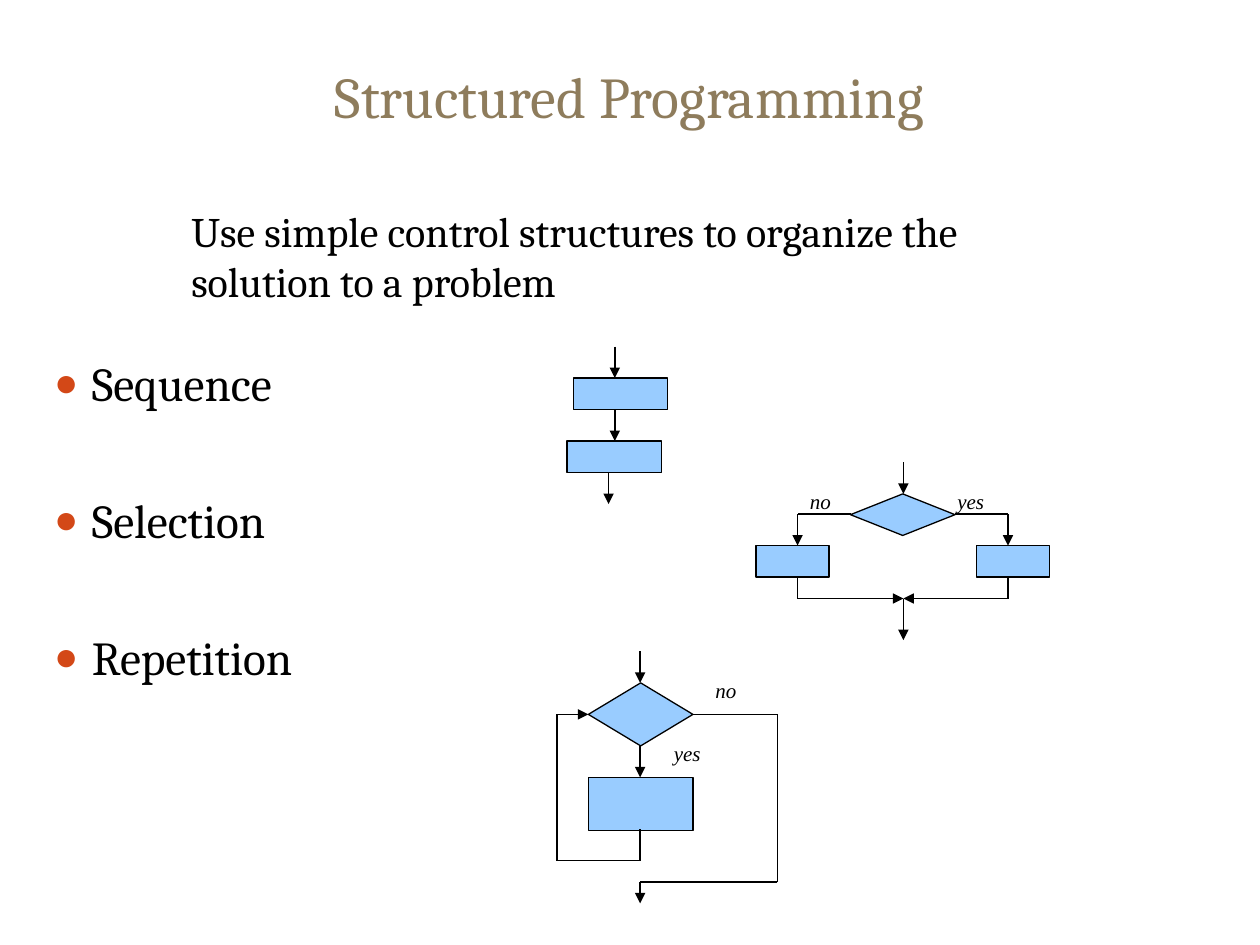
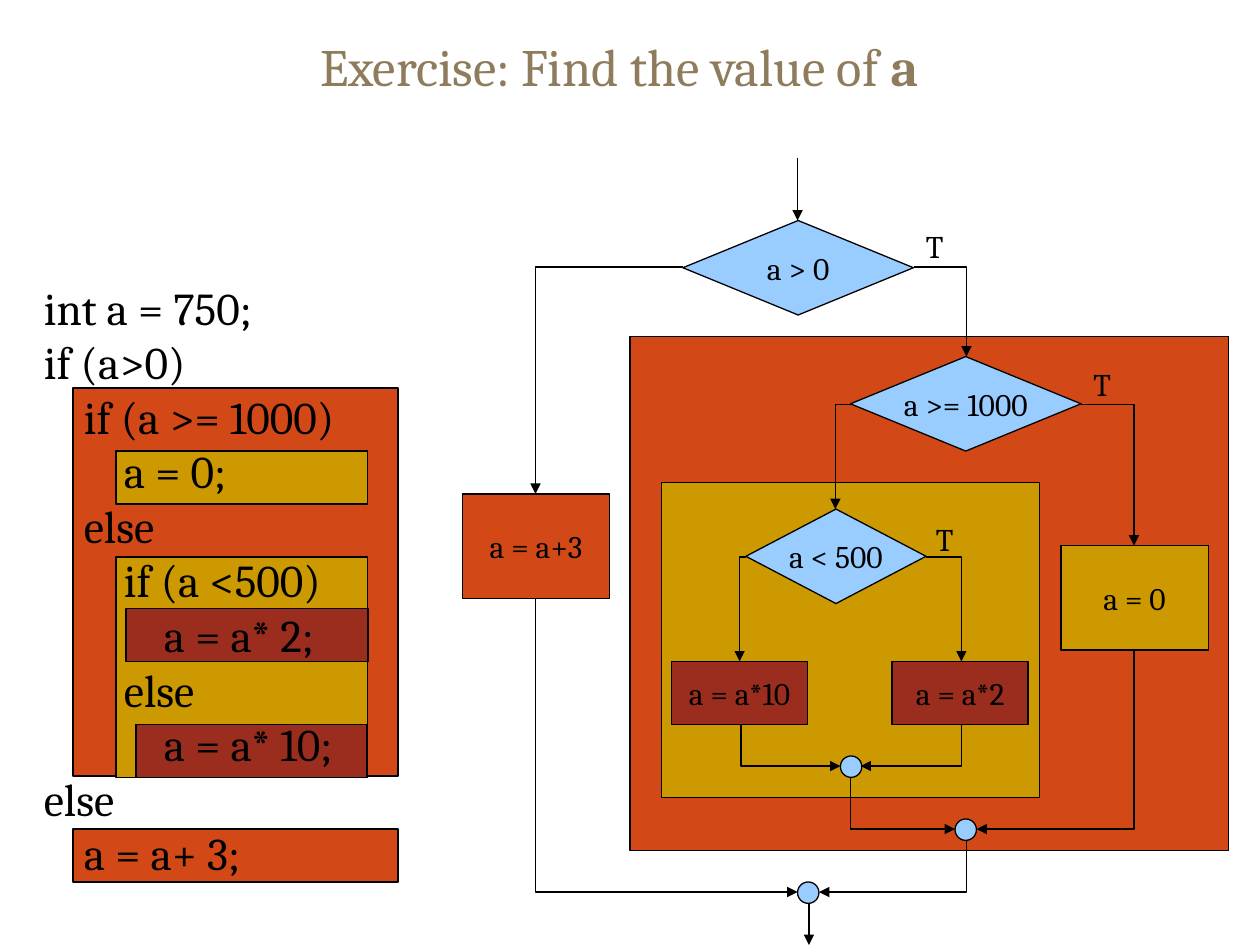
from itertools import pairwise

from lxml.etree import SubElement
from pptx import Presentation
from pptx.dml.color import RGBColor
from pptx.enum.shapes import MSO_CONNECTOR, MSO_SHAPE
from pptx.enum.text import MSO_ANCHOR, MSO_AUTO_SIZE, PP_ALIGN
from pptx.oxml.ns import qn
from pptx.util import Inches, Pt

BLACK = RGBColor(0x00, 0x00, 0x00)
TAUPE = RGBColor(0x8E, 0x7C, 0x5C)
BLUE = RGBColor(0x99, 0xCC, 0xFF)
ORANGE = RGBColor(0xD3, 0x48, 0x17)
GOLD = RGBColor(0xCC, 0x99, 0x00)
BRICK = RGBColor(0x9B, 0x2D, 0x1F)

SERIF = "Cambria"
LABEL_FONT = "Times New Roman"
LINE_WIDTH = Pt(0.75)
DECISION = MSO_SHAPE.FLOWCHART_DECISION
PROCESS = MSO_SHAPE.FLOWCHART_PROCESS
BLOCK = MSO_SHAPE.RECTANGLE
JOIN = MSO_SHAPE.OVAL
TITLE_AND_CONTENT, TITLE_ONLY = 1, 5


class FlowDeck:
    def __init__(self):
        self.prs = Presentation()
        self.prs.slide_width = Inches(10)
        self.prs.slide_height = Inches(7.5)

    def new_slide(self, layout):
        self.slide = self.prs.slides.add_slide(self.prs.slide_layouts[layout])
        self.canvas = self.slide.shapes

    def start_group(self):
        self.canvas = self.slide.shapes.add_group_shape().shapes

    def end_group(self):
        self.canvas = self.slide.shapes

    def place(self, shape, box):
        shape.left, shape.top, shape.width, shape.height = map(Inches, box)

    def run(self, paragraph, text, size, color=BLACK, font=SERIF, bold=False, italic=False):
        run = paragraph.add_run()
        run.text = text
        run.font.size = Pt(size)
        run.font.name = font
        run.font.color.rgb = color
        run.font.bold = bold
        run.font.italic = italic

    def title(self, box, size, text, bold_text=None):
        title = self.slide.shapes.title
        self.place(title, box)
        frame = title.text_frame
        frame.auto_size = MSO_AUTO_SIZE.NONE
        frame.vertical_anchor = MSO_ANCHOR.BOTTOM
        heading = frame.paragraphs[0]
        heading.alignment = PP_ALIGN.CENTER
        self.run(heading, text, size, TAUPE)
        if bold_text:
            self.run(heading, bold_text, size, TAUPE, bold=True)

    def bullets(self, box, items, margin_top, gap):
        body = self.slide.placeholders[1]
        self.place(body, box)
        frame = body.text_frame
        frame.auto_size = MSO_AUTO_SIZE.NONE
        frame.margin_top = Inches(margin_top)
        for index, item in enumerate(items):
            paragraph = frame.add_paragraph() if index else frame.paragraphs[0]
            properties = paragraph._p.get_or_add_pPr()
            properties.set("marL", str(Inches(0.3)))
            properties.set("indent", str(Inches(-0.3)))
            color = SubElement(properties, qn("a:buClr"))
            SubElement(color, qn("a:srgbClr")).set("val", str(ORANGE))
            SubElement(properties, qn("a:buSzPct")).set("val", "85000")
            SubElement(properties, qn("a:buChar")).set("char", "●")
            paragraph.space_before = Pt(gap if index else 0)
            self.run(paragraph, item, 27)

    def text(self, box, lines, size, **style):
        textbox = self.canvas.add_textbox(*map(Inches, box))
        frame = textbox.text_frame
        frame.word_wrap = True
        frame.auto_size = MSO_AUTO_SIZE.SHAPE_TO_FIT_TEXT
        for index, line in enumerate(lines):
            paragraph = frame.add_paragraph() if index else frame.paragraphs[0]
            self.run(paragraph, line, size, **style)

    def branch_label(self, left, top, text):
        self.text((left, top, 0.58, 0.3), [text], 12, font=LABEL_FONT, italic=True)

    def node(self, kind, box, fill=BLUE, text=None):
        node = self.canvas.add_shape(kind, *map(Inches, box))
        node.shadow.inherit = False
        node.fill.solid()
        node.fill.fore_color.rgb = fill
        node.line.color.rgb = BLACK
        node.line.width = LINE_WIDTH
        if text:
            frame = node.text_frame
            frame.word_wrap = False
            frame.vertical_anchor = MSO_ANCHOR.MIDDLE
            frame.paragraphs[0].alignment = PP_ALIGN.CENTER
            self.run(frame.paragraphs[0], text, 18)

    def connector(self, kind, start, end, arrow):
        connector = self.canvas.add_connector(kind, *map(Inches, (*start, *end)))
        connector.line.color.rgb = BLACK
        connector.line.width = LINE_WIDTH
        if arrow:
            SubElement(connector.line._get_or_add_ln(), qn("a:tailEnd")).set("type", "triangle")
        properties = connector._element.spPr
        SubElement(properties, qn("a:effectLst"))
        return properties

    def route(self, *points, arrow=True):
        segments = list(pairwise(points))
        for index, (start, end) in enumerate(segments, 1):
            self.connector(MSO_CONNECTOR.STRAIGHT, start, end, arrow and index == len(segments))

    def bend(self, start, end, down_first=False):
        (x1, y1), (x2, y2) = start, end
        width, height = abs(x2 - x1), abs(y2 - y1)
        rightward = x2 > x1
        if down_first:
            width, height = height, width
            degrees, flip = (270, "flipH") if rightward else (90, None)
        else:
            degrees, flip = (0, None) if rightward else (180, "flipV")
        left, top = (x1 + x2 - width) / 2, (y1 + y2 - height) / 2
        properties = self.connector(
            MSO_CONNECTOR.ELBOW, (left, top), (left + width, top + height), True)
        properties.find(qn("a:prstGeom")).set("prst", "bentConnector2")
        frame = properties.find(qn("a:xfrm"))
        if degrees:
            frame.set("rot", str(degrees * 60000))
        if flip:
            frame.set(flip, "1")


def draw_selection(deck):
    deck.start_group()
    deck.node(DECISION, (6.75, 3.92, 0.83, 0.33))
    deck.route((7.17, 3.67), (7.17, 3.92))
    for box_left, tip, branch in ((6, 6.75, 6.33), (7.75, 7.58, 8)):
        deck.node(PROCESS, (box_left, 4.33, 0.58, 0.25))
        deck.route((tip, 4.08), (branch, 4.08), (branch, 4.33))
        deck.route((branch, 4.58), (branch, 4.75), (7.17, 4.75))
    deck.route((7.17, 4.75), (7.17, 5.08))
    deck.branch_label(7.5, 3.83, "yes")
    deck.branch_label(6.33, 3.83, "no")
    deck.end_group()


def draw_repetition(deck):
    deck.start_group()
    deck.route((5.08, 5.17), (5.08, 5.42))
    deck.node(DECISION, (4.67, 5.42, 0.83, 0.5))
    deck.route((5.08, 5.92), (5.08, 6.17))
    deck.node(PROCESS, (4.67, 6.17, 0.83, 0.42))
    deck.route((5.08, 6.58), (5.08, 6.83), (4.42, 6.83), (4.42, 5.67), (4.67, 5.67))
    deck.route((5.5, 5.67), (6.17, 5.67), (6.17, 7), (5.08, 7), (5.08, 7.17))
    deck.branch_label(5.25, 5.83, "yes")
    deck.branch_label(5.58, 5.33, "no")
    deck.end_group()


def draw_sequence(deck):
    deck.start_group()
    deck.node(PROCESS, (4.55, 3, 0.75, 0.25))
    deck.node(PROCESS, (4.5, 3.5, 0.75, 0.25))
    for x, top in ((4.88, 2.75), (4.88, 3.25), (4.83, 3.75)):
        deck.route((x, top), (x, top + 0.25))
    deck.end_group()


def build_structures(deck):
    deck.new_slide(TITLE_AND_CONTENT)
    deck.title((0.33, 0.25, 9.33, 0.83), 33, "Structured Programming")
    deck.bullets((0.33, 1.67, 9.3, 5), ["Sequence", "Selection", "Repetition"],
                 margin_top=1.14, gap=46)
    draw_selection(deck)
    draw_repetition(deck)
    draw_sequence(deck)
    deck.text((1.42, 1.58, 7.33, 0.9),
              ["Use simple control structures to organize the solution to a problem"], 24)


def draw_code(deck):
    for box, fill in (
        ((0.58, 6.58, 2.58, 0.42), ORANGE),
        ((0.58, 3.08, 2.58, 3.08), ORANGE),
        ((0.92, 4.42, 2, 1.75), GOLD),
        ((0.92, 3.58, 2, 0.42), GOLD),
        ((1, 4.83, 1.92, 0.42), BRICK),
        ((1.08, 5.75, 1.83, 0.42), BRICK),
    ):
        deck.node(BLOCK, box, fill)
    deck.text((0.25, 2.17, 3.08, 4.87), [
        "int a = 750;",
        "if (a>0)",
        "    if (a >= 1000)",
        "        a = 0;",
        "    else",
        "        if (a <500)",
        "            a = a* 2;",
        "        else",
        "            a = a* 10;",
        "else",
        "    a = a+ 3;",
    ], 26)


def draw_flowchart(deck):
    for kind, box, fill, text in (
        (BLOCK, (5, 2.67, 4.75, 4.08), ORANGE, None),
        (BLOCK, (5.25, 3.83, 3, 2.5), GOLD, None),
        (DECISION, (5.42, 1.75, 1.83, 0.75), BLUE, "a > 0"),
        (DECISION, (6.75, 2.83, 1.83, 0.75), BLUE, "a >= 1000"),
        (DECISION, (5.92, 4.04, 1.43, 0.75), BLUE, "a < 500"),
        (PROCESS, (8.42, 4.33, 1.17, 0.83), GOLD, "a = 0"),
        (PROCESS, (3.67, 3.92, 1.17, 0.83), ORANGE, "a = a+3"),
        (BLOCK, (7.08, 5.25, 1.08, 0.5), BRICK, "a = a*2"),
        (BLOCK, (5.33, 5.25, 1.08, 0.5), BRICK, "a = a*10"),
    ):
        deck.node(kind, box, fill, text)
    for left, top in ((6.67, 6), (7.58, 6.5), (6.33, 7)):
        deck.node(JOIN, (left, top, 0.17, 0.17))

    deck.route((6.33, 1.25), (6.33, 1.75))
    deck.route((6.42, 7.17), (6.42, 7.5))
    for tip, target in (
        ((7.25, 2.12), (7.67, 2.83)),
        ((5.42, 2.12), (4.25, 3.92)),
        ((8.58, 3.21), (9, 4.33)),
        ((6.75, 3.21), (6.63, 4.04)),
        ((5.92, 4.42), (5.87, 5.25)),
        ((7.35, 4.42), (7.63, 5.25)),
    ):
        deck.bend(tip, target)
    for source, join in (
        ((7.63, 5.75), (6.83, 6.08)),
        ((5.88, 5.75), (6.67, 6.08)),
        ((6.75, 6.17), (7.58, 6.58)),
        ((9, 5.17), (7.75, 6.58)),
        ((7.67, 6.67), (6.5, 7.08)),
        ((4.25, 4.75), (6.33, 7.08)),
    ):
        deck.bend(source, join, down_first=True)
    for left, top in ((7.25, 1.75), (8.58, 2.85), (7.33, 4.08)):
        deck.text((left, top, 0.42, 0.4), ["T"], 18)


def build_exercise(deck):
    deck.new_slide(TITLE_ONLY)
    deck.title((0.25, 0.15, 9.33, 0.67), 30, "Exercise: Find the value of ", "a")
    draw_code(deck)
    draw_flowchart(deck)


def main():
    deck = FlowDeck()
    build_structures(deck)
    build_exercise(deck)
    deck.prs.save("out.pptx")


if __name__ == "__main__":
    main()
